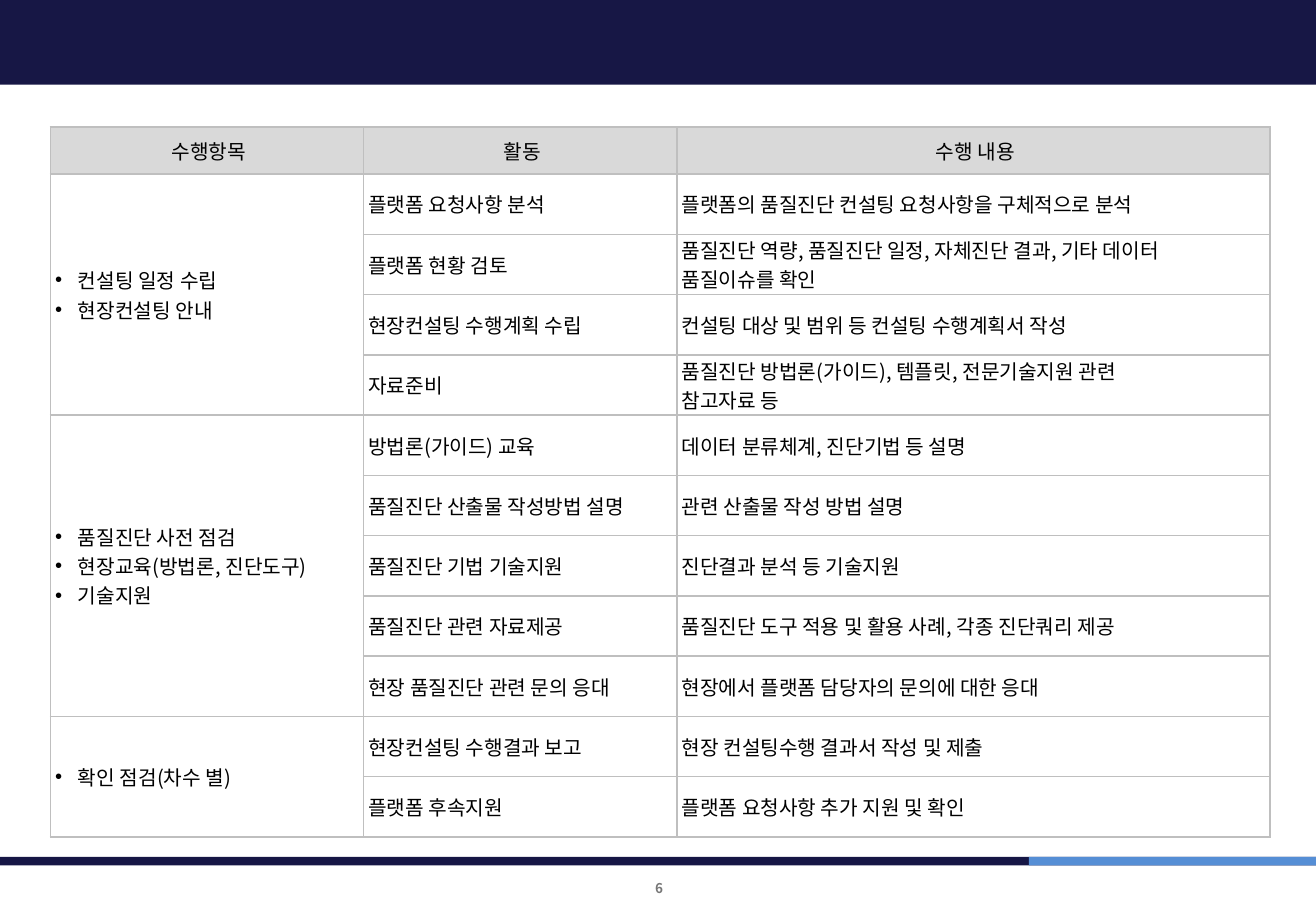
from lxml import etree
from pptx import Presentation
from pptx import util as u
from pptx.dml.color import RGBColor
from pptx.enum import shapes, text
from pptx.oxml import ns

Cm, Pt = u.Cm, u.Pt
WIDE, HIGH = 27.51, 19.05
NOTO = "Noto Sans CJK KR"
HEAD = ["수행항목", "활동", "수행 내용"]
# Each group: its items, then its rows of activity and detail.
# "\n" starts a paragraph, "\v" breaks a line.
PLAN = [
    ("컨설팅 일정 수립\n현장컨설팅 안내", [
        ("플랫폼 요청사항 분석", "플랫폼의 품질진단 컨설팅 요청사항을 구체적으로 분석"),
        ("플랫폼 현황 검토",
         "품질진단 역량, 품질진단 일정, 자체진단 결과, 기타 데이터 \v품질이슈를 확인"),
        ("현장컨설팅 수행계획 수립", "컨설팅 대상 및 범위 등 컨설팅 수행계획서 작성"),
        ("자료준비", "품질진단 방법론(가이드), 템플릿, 전문기술지원 관련\n참고자료 등"),
    ]),
    ("품질진단 사전 점검\n현장교육(방법론, 진단도구)\n기술지원", [
        ("방법론(가이드) 교육", "데이터 분류체계, 진단기법 등 설명"),
        ("품질진단 산출물 작성방법 설명", "관련 산출물 작성 방법 설명"),
        ("품질진단 기법 기술지원", "진단결과 분석 등 기술지원"),
        ("품질진단 관련 자료제공", "품질진단 도구 적용 및 활용 사례, 각종 진단쿼리 제공"),
        ("현장 품질진단 관련 문의 응대", "현장에서 플랫폼 담당자의 문의에 대한 응대"),
    ]),
    ("확인 점검(차수 별)", [
        ("현장컨설팅 수행결과 보고", "현장 컨설팅수행 결과서 작성 및 제출"),
        ("플랫폼 후속지원", "플랫폼 요청사항 추가 지원 및 확인"),
    ]),
]


def tint(code):
    return RGBColor.from_string(code)


def sub(node, tag, **attrs):
    return etree.SubElement(node, ns.qn(tag), attrs)


def write(para, words, size, color, bold=False):
    for i, part in enumerate(words.split("\v")):
        if i:
            para.add_line_break()
        run = para.add_run()
        run.text = part
        font = run.font
        font.size, font.bold, font.name = Pt(size), bold, NOTO
        font.color.rgb = tint(color)
        sub(font._element, "a:ea", typeface=NOTO)


def bar(slide, box, color):
    rect = slide.shapes.add_shape(shapes.MSO_SHAPE.RECTANGLE, *map(Cm, box))
    rect.shadow.inherit = False
    rect.fill.solid()
    rect.fill.fore_color.rgb = tint(color)
    rect.line.fill.background()


def banner(slide, box):
    bar(slide, box, "171745")


def footer(slide, box):
    left, top, wide, high = box
    blue = 6
    bar(slide, (left, top, wide, 0.18), "161645")
    bar(slide, (left + wide - blue, top, blue, 0.18), "558ED5")
    page = slide.shapes.add_textbox(Cm(left + 12.37), Cm(top + 0.41), Cm(2.82), Cm(0.5))
    frame = page.text_frame
    frame.word_wrap = True
    frame.margin_top = frame.margin_bottom = 0
    frame.vertical_anchor = text.MSO_ANCHOR.MIDDLE
    para = frame.paragraphs[0]
    para.alignment = text.PP_ALIGN.CENTER
    write(para, "6", 8, "777777", True)


def dress(cell, color):
    """Give a cell its borders, fill, margins and anchor."""
    props = cell._tc.get_or_add_tcPr()
    for side in "LRTB":
        line = sub(props, f"a:ln{side}", w=str(Pt(1)))
        sub(sub(line, "a:solidFill"), "a:srgbClr", val="BFBFBF")
    cell.fill.solid()
    cell.fill.fore_color.rgb = tint(color)
    cell.margin_left, cell.margin_right = Cm(0.1), Cm(0.02)
    cell.margin_top = cell.margin_bottom = 0
    cell.vertical_anchor = text.MSO_ANCHOR.MIDDLE


def enter(cell, words, align=text.PP_ALIGN.LEFT, dots=False):
    frame = cell.text_frame
    for i, part in enumerate(words.split("\n")):
        para = frame.add_paragraph() if i else frame.paragraphs[0]
        para.alignment = align
        if dots:
            props = para._p.get_or_add_pPr()
            props.set("marL", str(Cm(0.48)))
            props.set("indent", str(-Cm(0.48)))
            sub(props, "a:buFont", typeface="Arial")
            sub(props, "a:buChar", char="•")
        write(para, part, 12, "000000")


def chart(slide, box):
    """Draw the table of work items, activities and details."""
    left, top, wide, high = box
    first = 0.98
    count = sum(len(rows) for _, rows in PLAN)
    grid = slide.shapes.add_table(count + 1, 3, *map(Cm, box)).table
    grid.first_row = grid.horz_banding = False
    side = 6.55
    for col, size in zip(grid.columns, (side, side, wide - 2 * side)):
        col.width = Cm(size)
    for i, row in enumerate(grid.rows):
        row.height = Cm((high - first) / count if i else first)
        for cell in row.cells:
            dress(cell, "FFFFFF" if i else "D9D9D9")
    for i, label in enumerate(HEAD):
        enter(grid.cell(0, i), label, text.PP_ALIGN.CENTER)
    start = 1
    for items, rows in PLAN:
        grid.cell(start, 0).merge(grid.cell(start + len(rows) - 1, 0))
        enter(grid.cell(start, 0), items, dots=True)
        for i, pair in enumerate(rows, start):
            for j, words in enumerate(pair, 1):
                enter(grid.cell(i, j), words)
        start += len(rows)


def main():
    deck = Presentation()
    deck.slide_width, deck.slide_height = Cm(WIDE), Cm(HIGH)
    slide = deck.slides.add_slide(deck.slide_layouts[6])
    banner(slide, (0, 0, WIDE, 1.77))
    footer(slide, (0, 17.92, WIDE, 1.13))
    chart(slide, (1.05, 2.66, 25.5, 14.85))
    deck.save("out.pptx")


if __name__ == "__main__":
    main()
